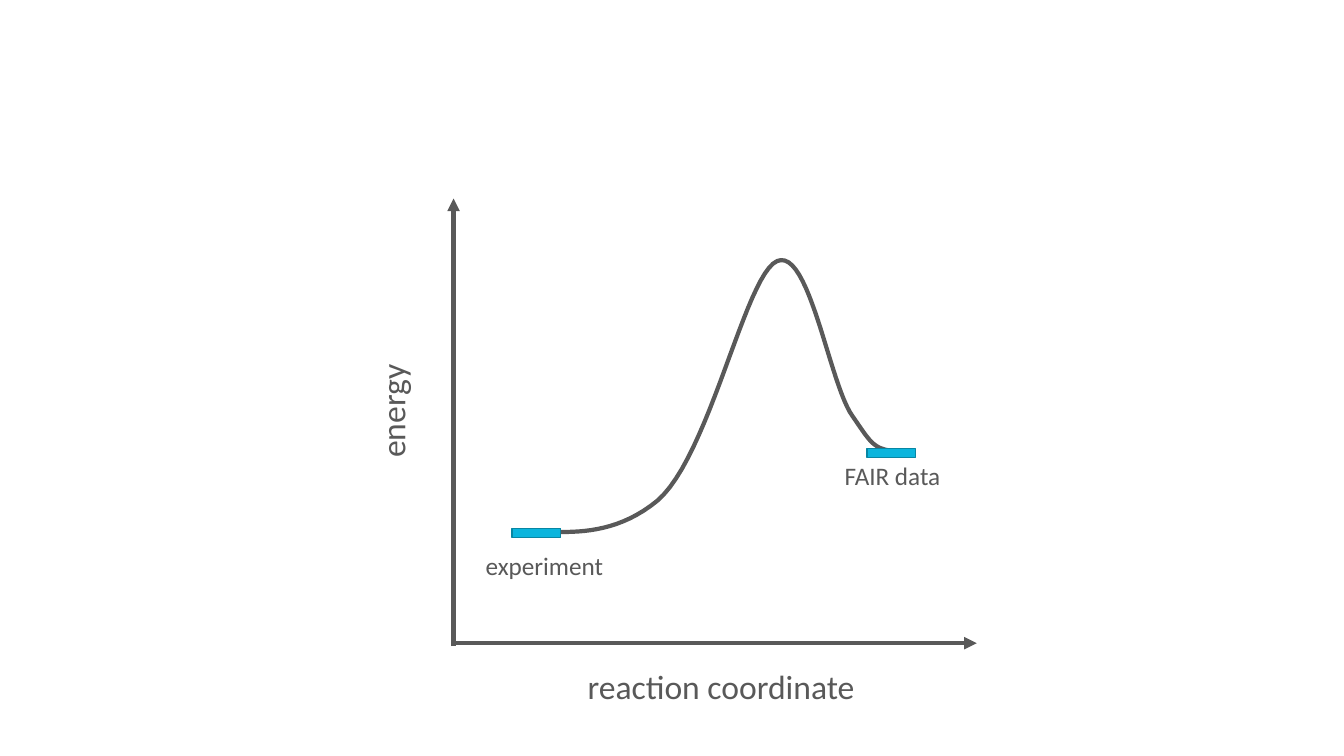
import pptx
import pptx.dml.color
import pptx.enum.shapes
import pptx.oxml
import pptx.oxml.ns
import pptx.util

Pt = pptx.util.Pt
RGB = pptx.dml.color.RGBColor.from_string

THEME = {
    "ink": RGB("595959"),
    "bar": RGB("0BB5DD"),
    "bar_edge": RGB("0886A3"),
    "font": "Calibri",
    "axis_size": Pt(24),
    "state_size": Pt(18),
    "stroke": Pt(3),
    "edge": Pt(1),
}
CURVE_STEPS = 24


def set_all(target, values):
    for name, value in values.items():
        setattr(target, name, value)


def style_line(line, color, width):
    line.color.rgb = color
    line.width = width


deck = pptx.Presentation()
set_all(deck, {"slide_width": Pt(960), "slide_height": Pt(540)})
page = deck.slides.add_slide(deck.slide_layouts[6])

# Energy curve: cubic Bezier segments from product back to reactant
curve_start = (653, 322.6)
curve_segments = [
    ((624.2, 322.6), (625, 320.4), (609.1, 297.4)),
    ((592.6, 275), (578.2, 176.4), (555.1, 186.5)),
    ((532.1, 196.6), (506.9, 326.2), (469.4, 357.8)),
    ((430.6, 389.5), (392.4, 376.6), (367.2, 380.9)),
]
curve_points = []
anchor = curve_start
for first, second, end in curve_segments:
    for step in range(1, CURVE_STEPS + 1):
        t = step / CURVE_STEPS
        weights = ((1 - t) ** 3, 3 * t * (1 - t) ** 2, 3 * t**2 * (1 - t), t**3)
        controls = (anchor, first, second, end)
        curve_points.append(tuple(
            Pt(sum(w * point[axis] for w, point in zip(weights, controls)))
            for axis in (0, 1)
        ))
    anchor = end
outline = page.shapes.build_freeform(Pt(curve_start[0]), Pt(curve_start[1]))
outline.add_line_segments(curve_points, close=False)
energy_curve = outline.convert_to_shape()
energy_curve.shadow.inherit = False
energy_curve.fill.background()
style_line(energy_curve.line, THEME["ink"], THEME["stroke"])

# Axes: start x, start y, end x, end y
for ends in [(322.6, 459.4, 697.7, 459.4), (324, 461.5, 324, 141.8)]:
    axis_line = page.shapes.add_connector(
        pptx.enum.shapes.MSO_CONNECTOR.STRAIGHT, *map(Pt, ends))
    style_line(axis_line.line, THEME["ink"], THEME["stroke"])
    arrowhead = pptx.oxml.parse_xml(
        f'<a:tailEnd {pptx.oxml.ns.nsdecls("a")} type="triangle"/>')
    axis_line.line._get_or_add_ln().append(arrowhead)
    axis_line._element.spPr.append(
        pptx.oxml.parse_xml(f'<a:effectLst {pptx.oxml.ns.nsdecls("a")}/>'))

# Energy levels of the two states
for left, top in [(619.2, 320.4), (365.8, 377.3)]:
    bar = page.shapes.add_shape(
        pptx.enum.shapes.MSO_SHAPE.RECTANGLE, Pt(left), Pt(top), Pt(34.6), Pt(6.5))
    bar.shadow.inherit = False
    bar.fill.solid()
    bar.fill.fore_color.rgb = THEME["bar"]
    style_line(bar.line, THEME["bar_edge"], THEME["edge"])

# Labels: text, left, top, width, height, size, rotation
labels = [
    ("reaction coordinate", 412.6, 472.3, 207.4, 36, "axis_size", 0),
    ("energy", 239, 275, 82.1, 36, "axis_size", 270),
    ("FAIR data", 596.2, 325.4, 102.2, 35.3, "state_size", 0),
    ("experiment", 339.8, 389.5, 121.7, 35.3, "state_size", 0),
]
for text, left, top, width, height, size, rotation in labels:
    box = page.shapes.add_textbox(Pt(left), Pt(top), Pt(width), Pt(height))
    box.rotation = rotation
    set_all(box.text_frame, {"word_wrap": True, "margin_left": Pt(7.2), "margin_right": 0})
    para = box.text_frame.paragraphs[0]
    span = para.add_run()
    span.text = text
    set_all(span.font, {"name": THEME["font"], "size": THEME[size]})
    span.font.color.rgb = THEME["ink"]

deck.save("out.pptx")
